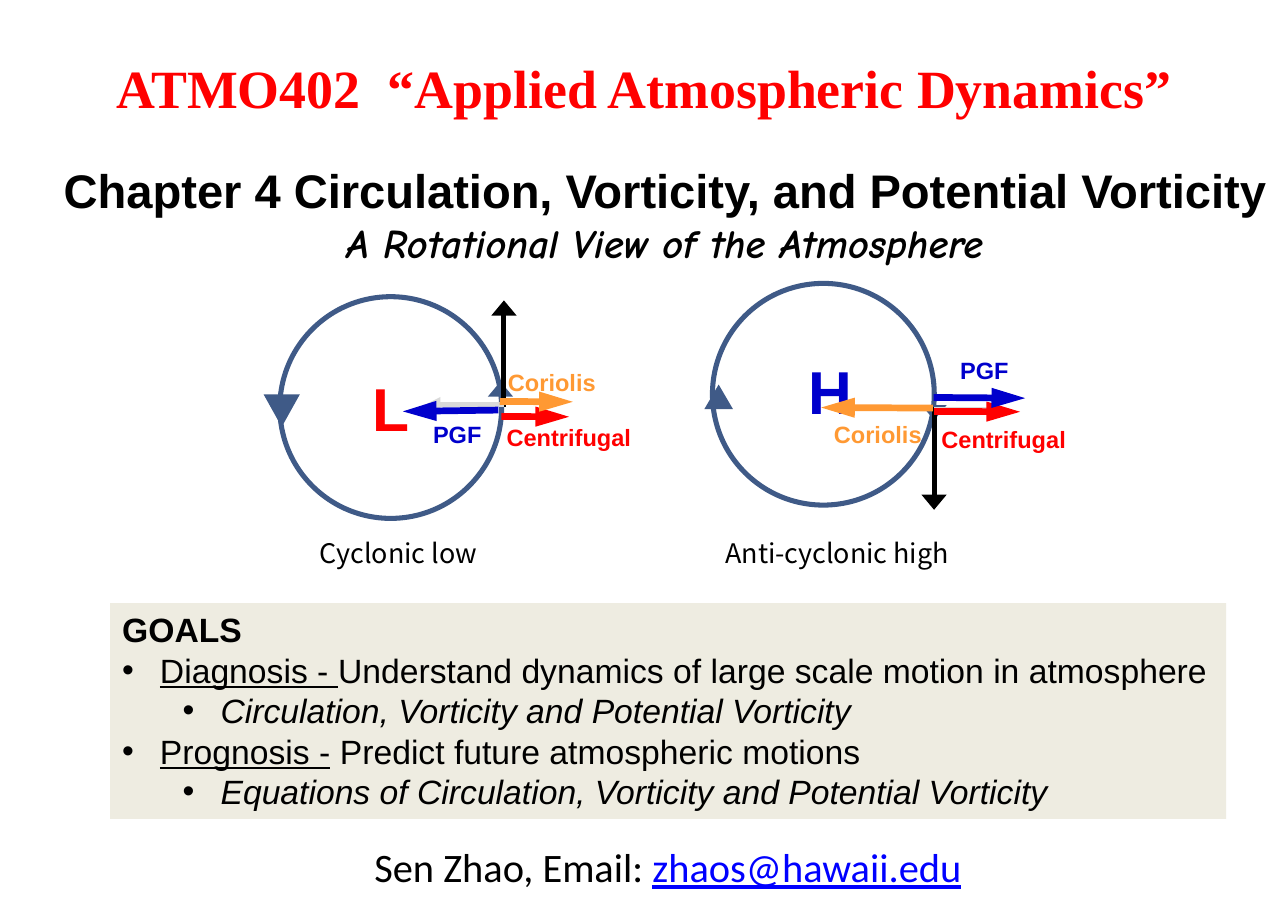
from lxml.etree import SubElement
from pptx import Presentation
from pptx.dml.color import RGBColor
from pptx.enum.shapes import MSO_CONNECTOR as Connector, MSO_SHAPE as Shape
from pptx.enum.text import MSO_ANCHOR as Anchor, MSO_AUTO_SIZE as AutoSize, PP_ALIGN as Align
from pptx.oxml.ns import qn
from pptx.util import Pt

hex_color = RGBColor.from_string
BLACK, RED, BLUE, ORANGE = "000000", "FF0000", "0000CC", "FF9933"
STEEL, GRAY, LINK, SAND = "3F5A87", "D9D9D9", "0000FF", "EEECE1"
CAPTION_FONT = "Noto Sans CJK SC"


def add_span(para, text, size=20, color=BLACK, font="Arial", bold=False, italic=False, underline=False):
    span = para.add_run()
    span.text = text
    span.font.size, span.font.name = Pt(size), font
    span.font.bold, span.font.italic, span.font.underline = bold, italic, underline
    span.font.color.rgb = hex_color(color)


def add_text_box(left, top, width, height, wrap=True):
    box = slide.shapes.add_textbox(Pt(left), Pt(top), Pt(width), Pt(height))
    box.text_frame.word_wrap = wrap
    return box.text_frame


deck = Presentation()
deck.slide_width, deck.slide_height = Pt(765.4), Pt(538.6)
slide = deck.slides.add_slide(deck.slide_layouts[5])

# Course title
title = slide.shapes.title
title.left, title.top, title.width, title.height = Pt(49), Pt(28.8), Pt(668), Pt(46)
title.text_frame.auto_size = AutoSize.NONE
title.text_frame.vertical_anchor = Anchor.TOP
title_para = title.text_frame.paragraphs[0]
title_para.alignment = Align.CENTER
add_span(title_para, "ATMO402  “Applied Atmospheric Dynamics”",
         size=32, color=RED, font="Times New Roman", bold=True)

# Chapter heading
chapter = add_text_box(25.2, 92.2, 740, 70.6)
heading, subheading = chapter.paragraphs[0], chapter.add_paragraph()
heading.alignment = subheading.alignment = Align.CENTER
add_span(heading, "Chapter 4 Circulation, Vorticity, and Potential Vorticity", size=28, bold=True)
add_span(subheading, "A Rotational View of the Atmosphere",
         size=24, font="Comic Neue", bold=True, italic=True)

# Circulation circles with a direction marker on the left side of each
outlines = [
    (Shape.OVAL, 166.3, 176.4, 131.8, 131.8, 0),
    (Shape.OVAL, 423.4, 168.5, 131.8, 131.8, 0),
    (Shape.ISOSCELES_TRIANGLE, 156.6, 234.4, 21.6, 19.4, 180),
    (Shape.ISOSCELES_TRIANGLE, 418.6, 228.6, 17, 14.6, 0),
]
for kind, left, top, width, height, rotation in outlines:
    outline = slide.shapes.add_shape(kind, Pt(left), Pt(top), Pt(width), Pt(height))
    outline.shadow.inherit = False
    outline.rotation = rotation
    if kind == Shape.OVAL:
        outline.fill.background()
        outline.line.color.rgb = hex_color(STEEL)
        outline.line.width = Pt(3)
    else:
        outline.fill.solid()
        outline.fill.fore_color.rgb = hex_color(STEEL)
        outline.line.fill.background()

# Pressure centres, force names and captions
labels = [
    ("L", 213.8, 216.7, 36.7, 51, RED, 36),
    ("H", 473, 206.6, 41, 51, BLUE, 36),
    ("PGF", 249.8, 246.2, 43.9, 24.5, BLUE, 14),
    ("PGF", 563, 208.1, 43.9, 24.5, BLUE, 14),
    ("Centrifugal", 293.8, 247.7, 88.6, 24.5, RED, 14),
    ("Centrifugal", 552.2, 249.1, 88.6, 24.5, RED, 14),
    ("Coriolis", 294.5, 215.3, 67, 24.5, ORANGE, 14),
    ("Coriolis", 488.2, 246.2, 67, 24.5, ORANGE, 14),
    ("Cyclonic low", 181.4, 315.4, 110.9, 26.6, BLACK, 16),
    ("Anti-cyclonic high", 403.2, 315.4, 188.6, 26.6, BLACK, 16),
]
for text, left, top, width, height, color, size in labels:
    para = add_text_box(left, top, width, height, wrap=False).paragraphs[0]
    para.alignment = Align.CENTER
    is_caption = size == 16
    add_span(para, text, size=size, color=color, bold=not is_caption,
             font=CAPTION_FONT if is_caption else "Arial")

# Arrows: start, end, colour, line width, head width, head length
arrows = [
    (297.4, 233.3, 297.4, 226.8, STEEL, 3, "lg", "med"),
    (299.5, 241.9, 299.5, 178.6, BLACK, 3, "lg", "med"),
    (299.5, 240.5, 252.7, 240.5, GRAY, 3, "med", "med"),
    (297.9, 247.6, 338.2, 247.8, RED, 4, "med", "lg"),
    (296.2, 243.8, 239.4, 244.6, BLUE, 4, "med", "lg"),
    (297, 238.7, 340.4, 238.9, ORANGE, 4, "med", "lg"),
    (555.1, 241.9, 555.1, 249.8, STEEL, 3, "lg", "med"),
    (555.1, 241.9, 555.1, 303.1, BLACK, 3, "lg", "med"),
    (555.1, 243.4, 596.9, 243.4, GRAY, 3, "med", "med"),
    (555.1, 244.6, 606.2, 244.8, RED, 4, "med", "lg"),
    (554.8, 236.3, 609.2, 236.7, BLUE, 4, "med", "lg"),
    (554.4, 242.6, 488, 242.3, ORANGE, 4, "med", "lg"),
]
for x1, y1, x2, y2, color, weight, head_width, head_length in arrows:
    arrow = slide.shapes.add_connector(Connector.STRAIGHT, Pt(x1), Pt(y1), Pt(x2), Pt(y2))
    arrow.line.color.rgb = hex_color(color)
    arrow.line.width = Pt(weight)
    SubElement(arrow.line._get_or_add_ln(), qn("a:tailEnd"),
               type="triangle", w=head_width, len=head_length)
    SubElement(arrow._element.spPr, qn("a:effectLst"))

# Goals panel
panel = slide.shapes.add_shape(Shape.RECTANGLE, Pt(65.5), Pt(358.6), Pt(663.2), Pt(128.2))
panel.shadow.inherit = False
panel.fill.solid()
panel.fill.fore_color.rgb = hex_color(SAND)
panel.line.fill.background()
goals = panel.text_frame
goals.word_wrap = True
goals.vertical_anchor = Anchor.TOP
goals.paragraphs[0].alignment = Align.LEFT
add_span(goals.paragraphs[0], "GOALS", bold=True)
goal_items = [
    ("Diagnosis - ", "Understand dynamics of large scale motion in atmosphere",
     "Circulation, Vorticity and Potential Vorticity"),
    ("Prognosis -", " Predict future atmospheric motions",
     "Equations of Circulation, Vorticity and Potential Vorticity"),
]
for name, aim, topic in goal_items:
    for level, indent in enumerate((22.5, 58.5)):
        para = goals.add_paragraph()
        para.alignment = Align.LEFT
        para.level = level
        properties = para._p.get_or_add_pPr()
        properties.set("marL", str(Pt(indent)))
        properties.set("indent", str(-Pt(22.5)))
        SubElement(properties, qn("a:buFont"), typeface="Arial")
        SubElement(properties, qn("a:buChar"), char="•")
        if level == 0:
            add_span(para, name, underline=True)
            add_span(para, aim)
        else:
            add_span(para, topic, italic=True)

# Contact line
contact = add_text_box(222.5, 500, 381.6, 36)
contact.margin_left = contact.margin_right = contact.margin_top = contact.margin_bottom = 0
contact.vertical_anchor = Anchor.MIDDLE
contact_para = contact.paragraphs[0]
contact_para.line_spacing = 0.8
add_span(contact_para, "Sen Zhao, Email: ", size=24, font="Calibri")
add_span(contact_para, "zhaos@hawaii.edu", size=24, font="Calibri", color=LINK, underline=True)

deck.save("out.pptx")
